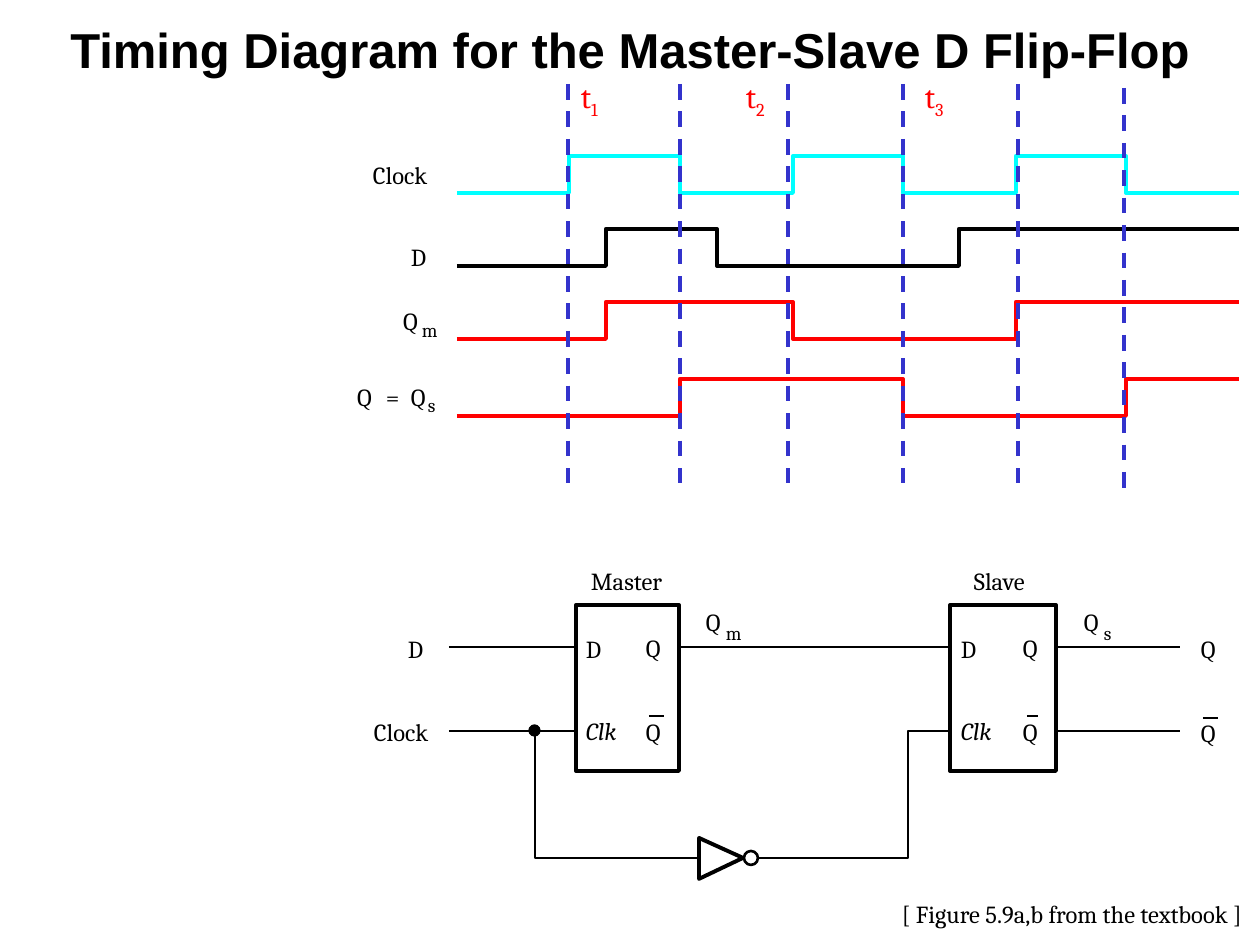
"""Build the timing diagram and circuit of a master-slave D flip-flop."""
from lxml import etree
from pptx import Presentation, util as u
from pptx.dml.color import RGBColor
from pptx.enum import dml, shapes, text
from pptx.oxml.ns import qn

PX = 914400 // 126
THEME = {
    "ink": RGBColor(0, 0, 0), "paper": RGBColor(255, 255, 255),
    "clock": RGBColor(0, 255, 255), "output": RGBColor(255, 0, 0),
    "guide": RGBColor(0x33, 0x33, 0xCC),
    "heading": "Arial", "body": "Cambria",
    "title": 28, "time": 18, "label": 14, "subscript": 11,
    "heavy": 2.25, "wire": 1.5, "bar": 1.38,
}

deck = Presentation()
deck.slide_width, deck.slide_height = u.Inches(10), u.Inches(7.5)
slide = deck.slides.add_slide(deck.slide_layouts[6])


def label(words, x, y, width=38, size="label", color="ink", italic=False):
    height = 26 if size == "subscript" else 38
    box = slide.shapes.add_textbox(x * PX, y * PX, width * PX, height * PX)
    frame = box.text_frame
    frame.margin_left = frame.margin_right = frame.margin_top = frame.margin_bottom = 0
    frame.word_wrap = False
    frame.auto_size = text.MSO_AUTO_SIZE.SHAPE_TO_FIT_TEXT
    frame.text = words
    font = frame.paragraphs[0].runs[0].font
    font.name, font.size, font.italic = THEME["body"], u.Pt(THEME[size]), italic
    font.color.rgb = THEME[color]
    return frame.paragraphs[0]


def trace(points, color="ink", weight="wire", closed=False):
    builder = slide.shapes.build_freeform(*points[0], scale=PX)
    builder.add_line_segments(points[1:], close=closed)
    outline = builder.convert_to_shape()
    outline.shadow.inherit = False
    if closed:
        outline.fill.solid()
        outline.fill.fore_color.rgb = THEME["paper"]
    else:
        outline.fill.background()
    outline.line.color.rgb = THEME[color]
    outline.line.width = u.Pt(THEME[weight])


title = slide.shapes.add_textbox(0, 13 * PX, 1260 * PX, 84 * PX).text_frame
title.word_wrap = True
title.text = "Timing Diagram for the Master-Slave D Flip-Flop"
heading = title.paragraphs[0]
heading.alignment = text.PP_ALIGN.CENTER
heading_font = heading.runs[0].font
heading_font.name, heading_font.size, heading_font.bold = THEME["heading"], u.Pt(THEME["title"]), True
heading_font.color.rgb = THEME["ink"]

START, END, SWING = 457, 1239, 37
signals = [
    (156, "clock", [569, 680, 793, 903, 1016, 1126]),
    (229, "ink", [606, 717, 959]),
    (302, "output", [606, 793, 1016]),
    (379, "output", [680, 903, 1126]),
]
for high, color, edges in signals:
    level, other = high + SWING, high
    wave = [(START, level)]
    for edge in edges:
        wave += [(edge, level), (edge, other)]
        level, other = other, level
    trace(wave + [(END, level)], color, "heavy")

DATA, CLK, INVERTED = 647, 731, 858
MASTER, SLAVE = (576, 103), (950, 106)
trace([(449, CLK), (535, CLK), (535, INVERTED), (658, INVERTED)])
trace([(950, CLK), (908, CLK), (908, INVERTED), (785, INVERTED)])

guides = [(x, 84, x, 483, "guide", "heavy") for x in (568, 680, 788, 903, 1018)]
guides.append((1124, 88, 1124, 488, "guide", "heavy"))
wires = [
    (449, DATA, 576, DATA), (535, CLK, 576, CLK), (679, DATA, 950, DATA),
    (1056, DATA, 1180, DATA), (1056, CLK, 1180, CLK),
    (658, INVERTED, 699, INVERTED), (752, INVERTED, 785, INVERTED),
]
bars = [(649, 716, 664, 716), (1027, 716, 1038, 716), (1203, 718, 1218, 718)]

latches = [(x, 605, width, 166, "RECTANGLE", "paper", 2.25) for x, width in (MASTER, SLAVE)]
dots = [(529, 725, 11, 11, "OVAL", "ink", 0.75), (744, 851, 14, 14, "OVAL", "paper", 1.5)]

lines = guides + [(*wire, "ink", "wire") for wire in wires]
lines_over = [(*bar, "ink", "bar") for bar in bars]
for group in (lines, lines_over):
    for x1, y1, x2, y2, color, weight in group:
        segment = slide.shapes.add_connector(
            shapes.MSO_CONNECTOR.STRAIGHT, x1 * PX, y1 * PX, x2 * PX, y2 * PX)
        segment.line.color.rgb = THEME[color]
        segment.line.width = u.Pt(THEME[weight])
        if color == "guide":
            segment.line.dash_style = dml.MSO_LINE.DASH
        etree.SubElement(segment._element.spPr, qn("a:effectLst"))
    if group is lines:
        for x, y, width, height, kind, fill, weight in latches + dots:
            part = slide.shapes.add_shape(
                shapes.MSO_SHAPE[kind], x * PX, y * PX, width * PX, height * PX)
            part.shadow.inherit = False
            part.fill.solid()
            part.fill.fore_color.rgb = THEME[fill]
            part.line.color.rgb = THEME["ink"]
            part.line.width = u.Pt(weight)
trace([(743, INVERTED), (699, 879), (699, 838)], weight="heavy", closed=True)

for pin_left, pin_right in ((586, 646), (961, 1023)):
    label("D", pin_left, 634)
    label("Q", pin_right, 633)
    label("Clk", pin_left, 716, 45, italic=True)
    label("Q", pin_right, 717)

for words, x, y, width in [
    ("Clock", 373, 160, 74), ("D", 411, 242, 34), ("Q", 403, 306, 34),
    ("Q", 357, 382, 34), ("=", 386, 382, 30), ("Q", 411, 382, 34),
    ("Master", 591, 566, 87), ("Slave", 974, 566, 79),
    ("D", 408, 634, 38), ("Clock", 374, 717, 84),
    ("Q", 1201, 634, 38), ("Q", 1201, 718, 38),
    ("Q", 706, 607, 38), ("Q", 1084, 607, 38),
    ("[ Figure 5.9a,b from the textbook ]", 902, 899, 344),
]:
    label(words, x, y, width)

for words, x, y in [("m", 422, 318), ("s", 428, 393), ("m", 726, 621), ("s", 1104, 621)]:
    label(words, x, y, 24, "subscript")

for index, x in enumerate((581, 746, 925), 1):
    instant = label("t", x, 77, 30, "time", "output")
    digit = instant.add_run()
    digit.text = str(index)
    digit.font.name, digit.font.size = THEME["body"], u.Pt(THEME["time"])
    digit.font.color.rgb = THEME["output"]
    digit._r.get_or_add_rPr().set("baseline", "-25000")

deck.save("out.pptx")
